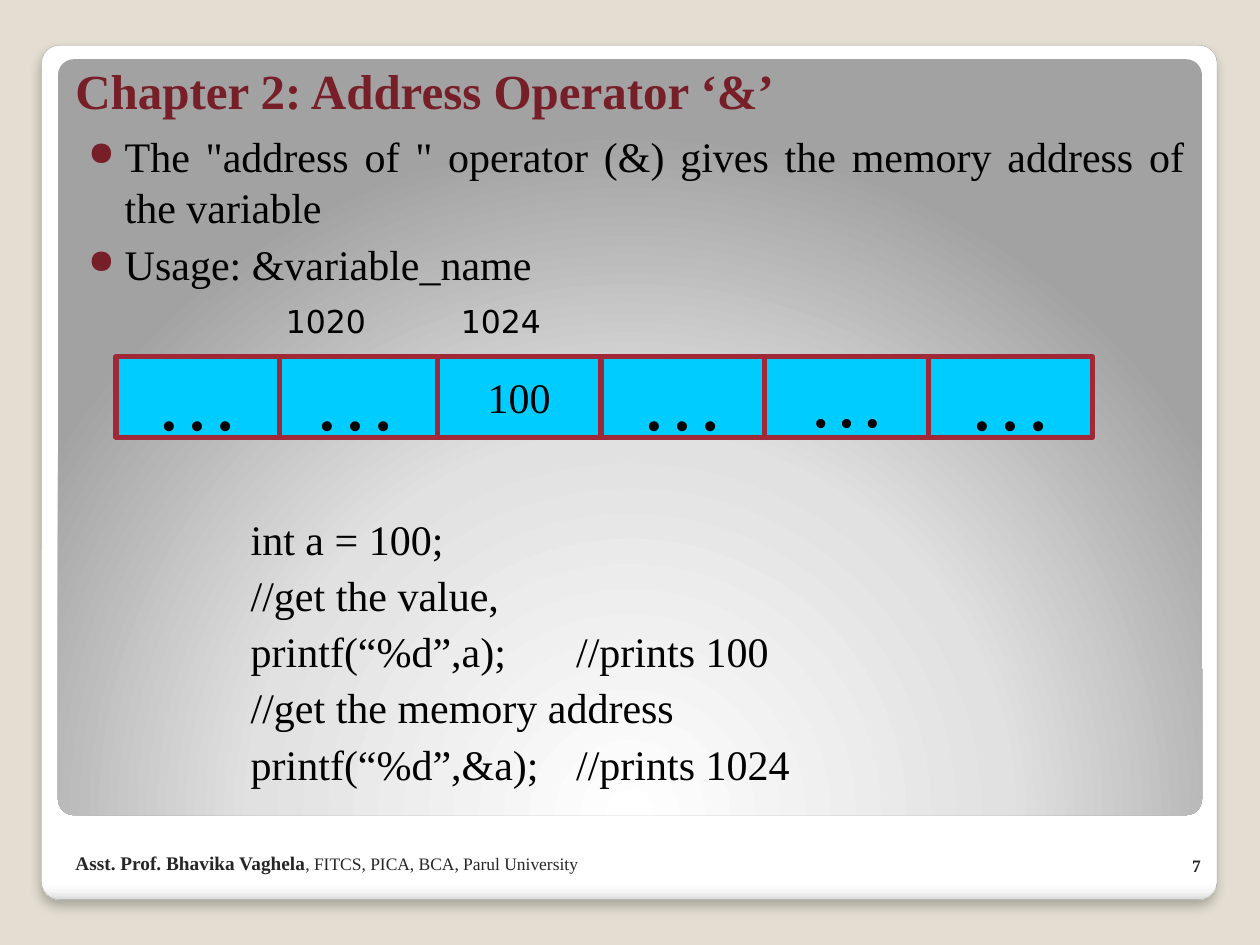
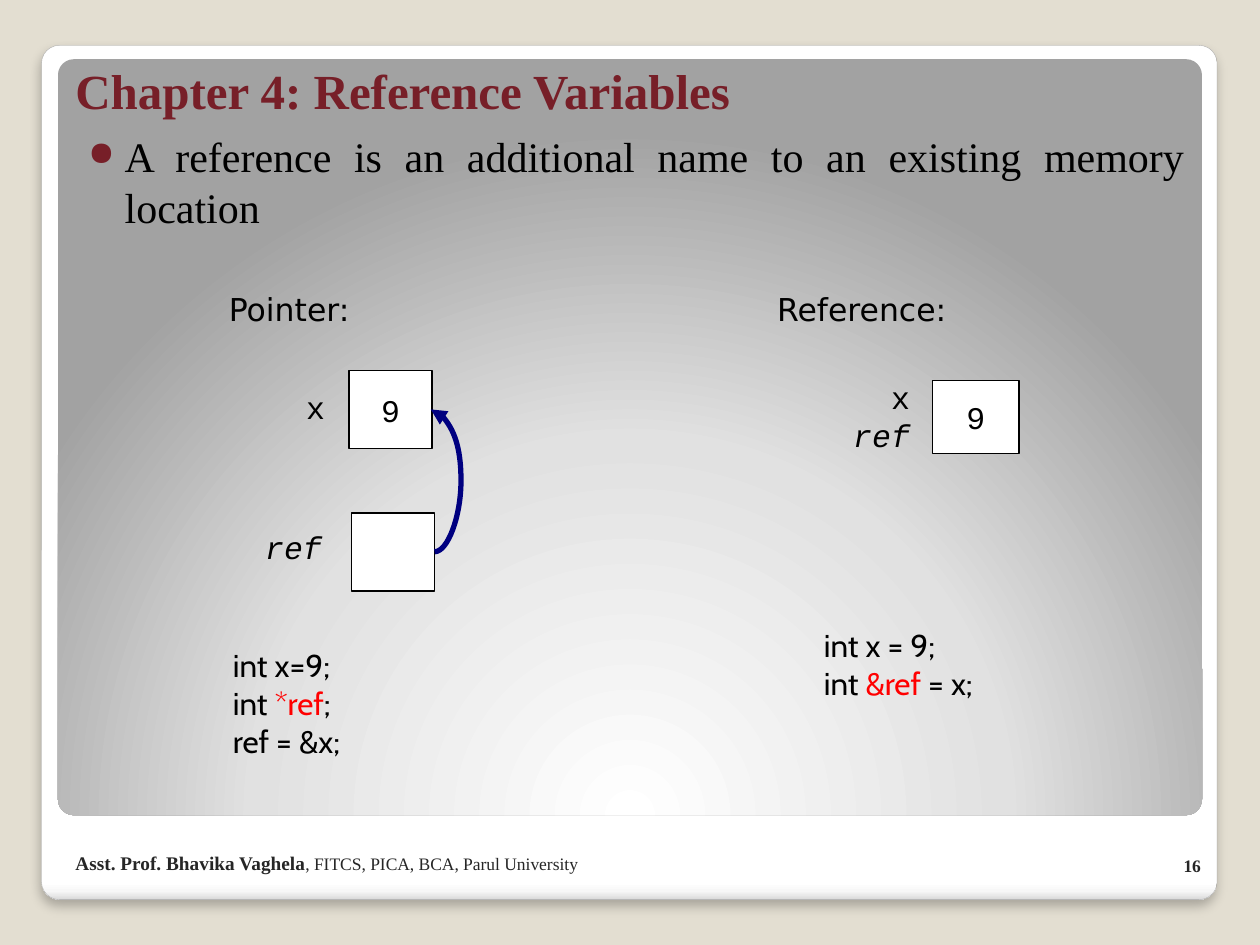
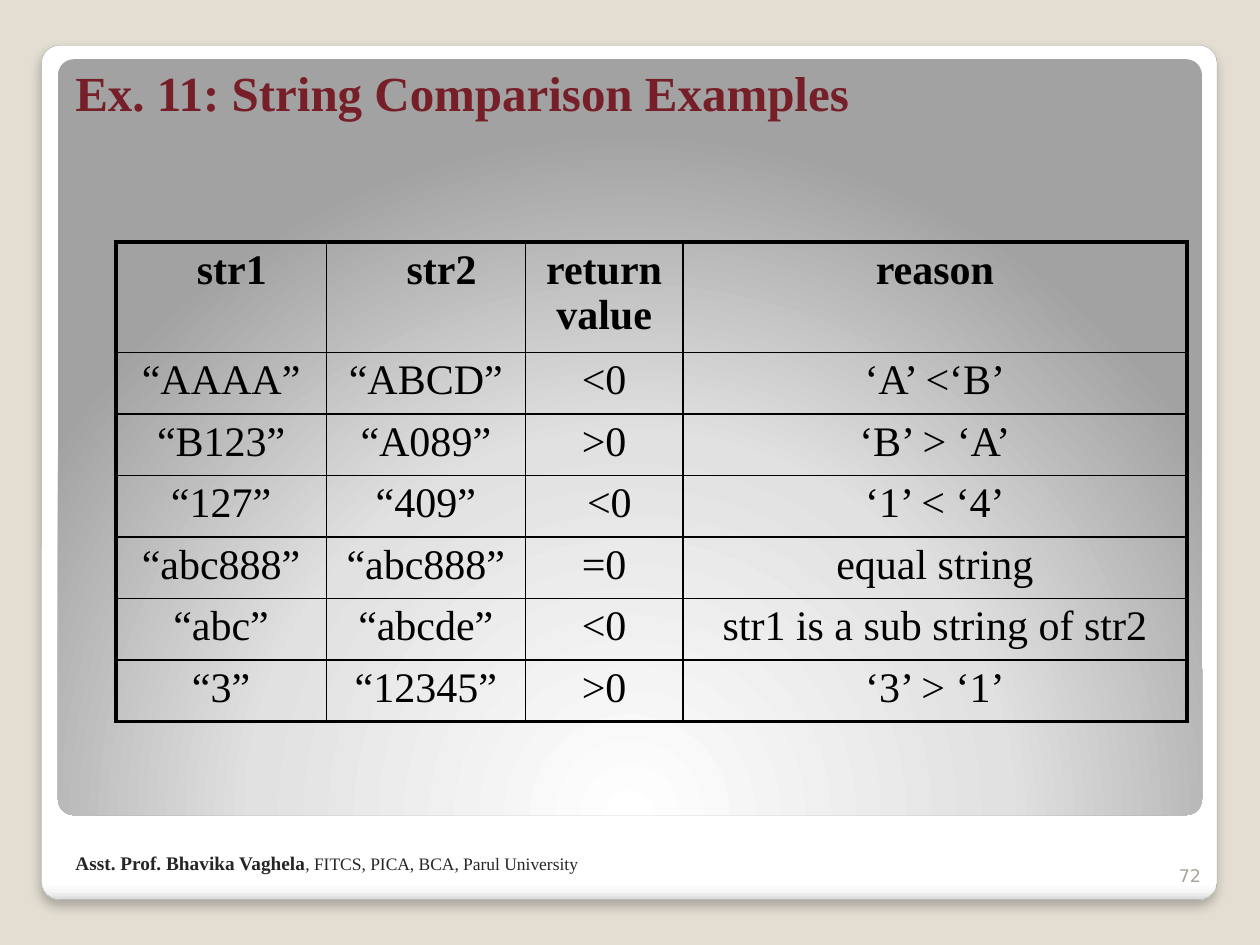
from pptx import Presentation
from pptx.dml.color import RGBColor
from pptx.enum.shapes import MSO_CONNECTOR as LINK, MSO_SHAPE as SHAPE
from pptx.enum.text import MSO_ANCHOR as ANCHOR, PP_ALIGN as ALIGN
from pptx.oxml import parse_xml
from pptx.oxml.ns import nsdecls, qn
from pptx.util import Inches, Pt

SAND = RGBColor(0xE3, 0xDE, 0xD1)
WHITE = RGBColor(0xFF, 0xFF, 0xFF)
BLACK = RGBColor(0, 0, 0)
MAROON = RGBColor(0x77, 0x1F, 0x28)
CRIMSON = RGBColor(0x9F, 0x29, 0x36)
CYAN = RGBColor(0, 0xCC, 0xFF)
NAVY = RGBColor(0, 0, 0x80)
RED = RGBColor(0xFF, 0, 0)
CHARCOAL = RGBColor(0x26, 0x26, 0x26)
EDGE_GRAY = RGBColor(0xA4, 0xA4, 0xA4)
NUMBER_GRAY = RGBColor(0xA8, 0xA4, 0x9B)

SERIF, SANS, MONO, CABIN = "Times New Roman", "DejaVu Sans", "Courier New", "Cabin"

CARD_STOPS = [(0, "FFFFFF"), (98, "FFFFFF"), (99, "F7F7F7"), (100, "DADADA")]
CARD_SHADE = '<a:lin ang="5400000" scaled="0"/>'
PANEL_STOPS = [(0, "FFFFFF"), (55, "E1E1E1"), (100, "A2A2A2")]
PANEL_SHADE = ('<a:path path="circle"><a:fillToRect l="50000" t="175000" '
               'r="50000" b="-75000"/></a:path>')

TITLE_AT = (0.5, 0.17, 9, 0.83)
BODY_AT = (0.5, 0.92, 9, 5.42)
FOOTER_AT = (0.5, 6.67, 4.58, 0.32)
FOOTER = [("Asst. Prof. Bhavika Vaghela", dict(size=11, bold=True)),
          ", FITCS, PICA, BCA, Parul University"]

ADDRESS_BULLETS = [
    'The "address of " operator (&) gives the memory address of the variable',
    "Usage: &variable_name",
]
ADDRESS_CODE = [
    "int a = 100;",
    "//get the value,",
    "printf(“%d”,a);\t //prints 100",
    "//get the memory address",
    "printf(“%d”,&a);\t //prints 1024",
]
MEMORY_CELLS = [("…", 48), ("100", 24), ("…", 48), ("…", 44), ("…", 48)]
FIRST_CELL = ("…", 48)
ADDRESSES = [("1020", 2.17), ("1024", 3.56)]

REFERENCE_BULLETS = ["A reference is an additional name to an existing memory location"]
HEADINGS = [("Pointer:", (1.67, 2.25, 1.25, 0.43)),
            ("Reference:", (6.02, 2.25, 1.64, 0.43))]
VARIABLE_BOXES = [("9", (2.77, 2.94, 0.66, 0.62)),
                  ("", (2.79, 4.07, 0.66, 0.62)),
                  ("9", (7.4, 3.02, 0.69, 0.58))]
REF_NAME = [("ref", dict(italic=True))]
VARIABLE_NAMES = [(["x"], (2.3, 3.03, 0.41, 0.43), ALIGN.CENTER),
                  ([REF_NAME], (1.95, 4.14, 0.76, 0.43), ALIGN.CENTER),
                  (["x", REF_NAME], (6.59, 2.95, 0.73, 0.77), ALIGN.RIGHT)]
SNIPPETS = [
    (["int x=9;", ["int ", ("*ref", dict(color=RED)), ";"], "ref = &x;"],
     (1.75, 5.08, 1.22, 1)),
    (["int x = 9;", ["int ", ("&ref", dict(color=RED)), " = x;"]],
     (6.44, 4.92, 1.58, 0.7)),
]

COMPARISONS = [
    ("str1", "str2", "return value", "reason"),
    ("“AAAA”", "“ABCD”", "<0", "‘A’ <‘B’"),
    ("“B123”", "“A089”", ">0", "‘B’ > ‘A’"),
    ("“127”", "“409”", " <0", "‘1’ < ‘4’"),
    ("“abc888”", "“abc888”", "=0", "equal string"),
    ("“abc”", "“abcde”", "<0", "str1 is a sub string of str2"),
    ("“3”", "“12345”", ">0", "‘3’ > ‘1’"),
]
COLUMN_WIDTHS = [1.67, 1.58, 1.25, 4]
HEADER_HEIGHT, ROW_HEIGHT = 0.84, 0.47
HEADER_INDENTS = [0.17, 0.25, 0, 0]


def inches(at):
    return [Inches(length) for length in at]


def write(frame, paragraphs, size=18, font=SERIF, color=BLACK, bold=False,
          italic=False, align=ALIGN.LEFT, anchor=ANCHOR.TOP, wrap=True,
          before=0, spacing=None):
    frame.word_wrap = wrap
    frame.vertical_anchor = anchor
    written = []
    for index, runs in enumerate(paragraphs):
        paragraph = frame.add_paragraph() if index else frame.paragraphs[0]
        paragraph.alignment = align
        paragraph.space_before = Pt(before)
        if spacing:
            paragraph.line_spacing = spacing
        for piece in [runs] if isinstance(runs, str) else runs:
            words, changes = (piece, {}) if isinstance(piece, str) else piece
            run = paragraph.add_run()
            run.text = words
            run.font.name = font
            run.font.size = Pt(changes.get("size", size))
            run.font.bold = changes.get("bold", bold)
            run.font.italic = changes.get("italic", italic)
            run.font.color.rgb = changes.get("color", color)
        written.append(paragraph)
    return written


def add_text(slide, at, paragraphs, **style):
    frame = slide.shapes.add_textbox(*inches(at)).text_frame
    write(frame, paragraphs, **style)


def add_box(slide, at, words, fill, edge, width, **style):
    box = slide.shapes.add_shape(SHAPE.RECTANGLE, *inches(at))
    box.shadow.inherit = False
    box.fill.solid()
    box.fill.fore_color.rgb = fill
    box.line.color.rgb = edge
    box.line.width = Pt(width)
    if words:
        write(box.text_frame, [words], align=ALIGN.CENTER,
              anchor=ANCHOR.MIDDLE, wrap=False, **style)


def add_rounded(slide, at, stops, shade):
    rounded = slide.shapes.add_shape(SHAPE.ROUNDED_RECTANGLE, *inches(at))
    rounded.adjustments[0] = 0.021
    rounded.shadow.inherit = False
    rounded.line.fill.background()
    rounded.fill.background()
    colours = "".join(f'<a:gs pos="{place * 1000}"><a:srgbClr val="{colour}"/></a:gs>'
                      for place, colour in stops)
    properties = rounded.element.spPr
    properties.replace(properties.find(qn("a:noFill")), parse_xml(
        f'<a:gradFill {nsdecls("a")} rotWithShape="1">'
        f'<a:gsLst>{colours}</a:gsLst>{shade}</a:gradFill>'))
    return rounded


def add_slide(deck, title, number, title_at=TITLE_AT, number_top=6.6,
              number_style=dict(font=SERIF, color=CHARCOAL, bold=True)):
    slide = deck.slides.add_slide(deck.slide_layouts[6])
    slide.background.fill.solid()
    slide.background.fill.fore_color.rgb = SAND
    card = add_rounded(slide, (0.33, 0.36, 9.33, 6.78), CARD_STOPS, CARD_SHADE)
    card.line.color.rgb = EDGE_GRAY
    card.line.width = Pt(0.16)
    card.element.spPr.find(qn("a:effectLst")).append(parse_xml(
        f'<a:outerShdw {nsdecls("a")} blurRad="{Pt(6)}" dist="{Pt(4)}" dir="5400000">'
        '<a:srgbClr val="000000"><a:alpha val="25000"/></a:srgbClr></a:outerShdw>'))
    add_rounded(slide, (0.46, 0.47, 9.08, 6), PANEL_STOPS, PANEL_SHADE)
    add_text(slide, title_at, [title], size=28, color=MAROON, bold=True,
             anchor=ANCHOR.BOTTOM)
    add_text(slide, (9.13, number_top, 0.5, 0.4), [number], size=10,
             align=ALIGN.RIGHT, anchor=ANCHOR.BOTTOM, **number_style)
    add_text(slide, FOOTER_AT, [FOOTER], size=10, color=CHARCOAL,
             anchor=ANCHOR.BOTTOM)
    return slide


def add_body(slide, bullets, code=()):
    frame = slide.shapes.add_textbox(*inches(BODY_AT)).text_frame
    frame.margin_left, frame.margin_top = Inches(0.2), Inches(0.1)
    lines = write(frame, [*bullets, *code], size=24, before=2.5, spacing=1.03)
    for line in lines[:len(bullets)]:
        line.alignment = ALIGN.JUSTIFY
        layout = line._p.get_or_add_pPr()
        layout.set("marL", str(Inches(0.29)))
        layout.set("indent", str(-Inches(0.29)))
        for mark in (f'<a:buClr {nsdecls("a")}><a:srgbClr val="{MAROON}"/></a:buClr>',
                     f'<a:buSzPct {nsdecls("a")} val="80000"/>',
                     f'<a:buChar {nsdecls("a")} char="●"/>'):
            layout.append(parse_xml(mark))
    for line in lines[len(bullets):]:
        line._p.get_or_add_pPr().set("marL", str(Inches(1.29)))
    if code:
        lines[len(bullets)].space_before = Pt(127.5)


def add_curved_arrow(slide, start, end, bulge):
    arrow = slide.shapes.add_connector(LINK.CURVE, *inches(start), *inches(end))
    arrow.line.color.rgb = NAVY
    arrow.line.width = Pt(3)
    properties = arrow.element.spPr
    bend = round((bulge - start[0]) / (end[0] - start[0]) * 100000)
    geometry = properties.find(qn("a:prstGeom"))
    geometry.find(qn("a:avLst")).append(parse_xml(
        f'<a:gd {nsdecls("a")} name="adj1" fmla="val {bend}"/>'))
    properties.find(qn("a:ln")).append(
        parse_xml(f'<a:tailEnd {nsdecls("a")} type="triangle"/>'))
    properties.append(parse_xml(f'<a:effectLst {nsdecls("a")}/>'))


def add_borders(cell, outer_sides):
    for side in "LRTB":
        width = Pt(2.25 if side in outer_sides else 1)
        cell._tc.get_or_add_tcPr().append(parse_xml(
            f'<a:ln{side} {nsdecls("a")} w="{width}"><a:solidFill>'
            f'<a:srgbClr val="{BLACK}"/></a:solidFill></a:ln{side}>'))


def add_comparisons(slide):
    last_row, last_column = len(COMPARISONS) - 1, len(COLUMN_WIDTHS) - 1
    height = HEADER_HEIGHT + ROW_HEIGHT * last_row
    table = slide.shapes.add_table(
        last_row + 1, last_column + 1,
        *inches((0.92, 1.92, sum(COLUMN_WIDTHS), height))).table
    table.first_row = table.horz_banding = False
    for column, width in zip(table.columns, COLUMN_WIDTHS):
        column.width = Inches(width)
    for r, values in enumerate(COMPARISONS):
        table.rows[r].height = Inches(ROW_HEIGHT if r else HEADER_HEIGHT)
        for c, value in enumerate(values):
            cell = table.cell(r, c)
            edges = {"L": c == 0, "R": c == last_column,
                     "T": r == 0, "B": r == last_row}
            add_borders(cell, [side for side, outer in edges.items() if outer])
            cell.fill.background()
            if r == 0:
                cell.margin_left = Inches(0.1 + HEADER_INDENTS[c])
            write(cell.text_frame, [value], size=24, bold=r == 0,
                  align=ALIGN.CENTER, spacing=0.97)


def build_address(deck):
    slide = add_slide(deck, "Chapter 2: Address Operator ‘&’", "7")
    add_body(slide, ADDRESS_BULLETS, ADDRESS_CODE)
    cells = [(2.17 + 1.3 * i, *cell) for i, cell in enumerate(MEMORY_CELLS)]
    for left, value, size in [*cells, (0.92, *FIRST_CELL)]:
        add_box(slide, (left, 2.83, 1.3, 0.64), value, CYAN, CRIMSON, 3, size=size)
    for address, left in ADDRESSES:
        add_text(slide, (left, 2.35, 1.06, 0.43), [address], font=SANS)


def build_reference(deck):
    slide = add_slide(deck, "Chapter 4: Reference Variables", "16")
    add_body(slide, REFERENCE_BULLETS)
    for value, at in VARIABLE_BOXES:
        add_box(slide, at, value, WHITE, BLACK, 1, font=MONO)
    for names, at, align in VARIABLE_NAMES:
        add_text(slide, at, names, font=MONO, align=align)
    add_curved_arrow(slide, (3.45, 4.38), (3.42, 3.25), 3.66)
    for heading, at in HEADINGS:
        add_text(slide, at, [heading], font=SANS, align=ALIGN.CENTER, wrap=False)
    for lines, at in SNIPPETS:
        add_text(slide, at, lines, font=CABIN, wrap=False)


def build_comparison(deck):
    slide = add_slide(deck, "Ex. 11: String Comparison Examples", "72",
                      title_at=(0.5, 0.33, 8.95, 0.68), number_top=6.68,
                      number_style=dict(font=SANS, color=NUMBER_GRAY))
    add_comparisons(slide)


def main():
    deck = Presentation()
    deck.slide_width, deck.slide_height = Inches(10), Inches(7.5)
    build_address(deck)
    build_reference(deck)
    build_comparison(deck)
    deck.save("out.pptx")


if __name__ == "__main__":
    main()
